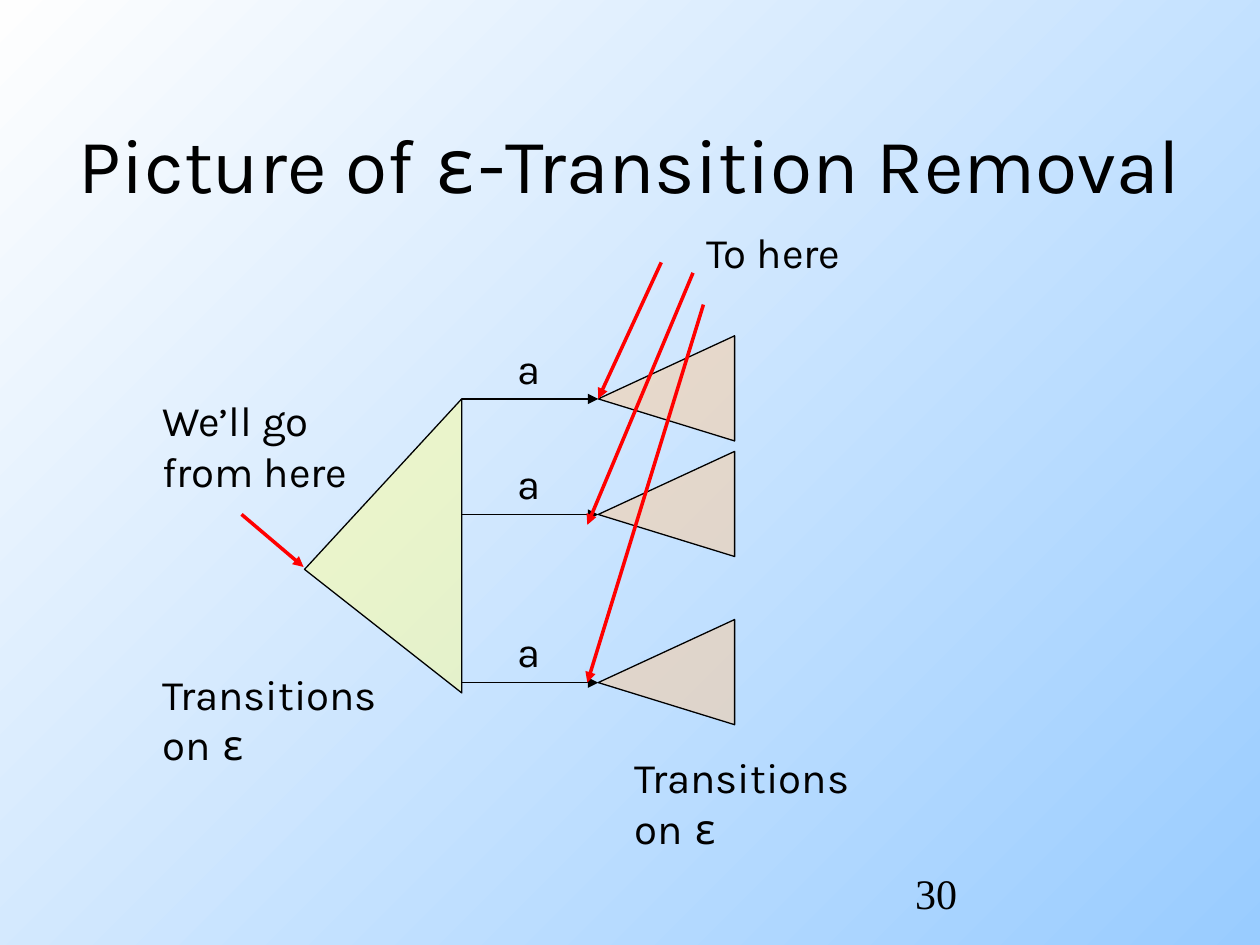
from lxml import etree
from pptx import Presentation
from pptx.dml.color import RGBColor
from pptx.enum.shapes import MSO_CONNECTOR
from pptx.enum.text import MSO_ANCHOR, MSO_AUTO_SIZE, PP_ALIGN
from pptx.oxml.ns import qn
from pptx.util import Cm, Pt

BLACK = RGBColor(0x00, 0x00, 0x00)
RED = RGBColor(0xFF, 0x00, 0x00)
YELLOW = RGBColor(0xFF, 0xFF, 0x99)
PEACH = RGBColor(0xFF, 0xCC, 0x99)
SKY = RGBColor(0x99, 0xCC, 0xFF)
WHITE = RGBColor(0xFE, 0xFE, 0xFE)

BODY_FONT = "Karla"
GREEK_FONT = "Noto Sans Mono"
NUMBER_FONT = "Times New Roman"
MARGINS = {"margin_left": Cm(0.25), "margin_right": Cm(0.25),
           "margin_top": Cm(0.13), "margin_bottom": Cm(0.13)}
TITLE_FRAME = {**MARGINS, "word_wrap": True, "auto_size": MSO_AUTO_SIZE.NONE,
               "vertical_anchor": MSO_ANCHOR.MIDDLE}
LABEL_FRAME = {**MARGINS, "word_wrap": False,
               "auto_size": MSO_AUTO_SIZE.SHAPE_TO_FIT_TEXT}
NUMBER_FRAME = {**MARGINS, "word_wrap": True}


def set_attributes(target, values):
    """Set every attribute named in a dict of format values."""
    for name, value in values.items():
        setattr(target, name, value)


def write_text(frame, lines, size, frame_format, alignment=PP_ALIGN.LEFT, font_name=BODY_FONT):
    """Write one paragraph per line, with the Greek letter in its own font."""
    set_attributes(frame, frame_format)
    for index, line in enumerate(lines):
        paragraph = frame.add_paragraph() if index else frame.paragraphs[0]
        paragraph.alignment = alignment
        before, greek, after = line.partition("ε")
        for text, name in ((before, font_name), (greek, GREEK_FONT), (after, font_name)):
            if text:
                run = paragraph.add_run()
                run.text = text
                set_attributes(run.font, {"name": name, "size": Pt(size)})
                run.font.color.rgb = BLACK


def add_label(slide, box, lines, frame_format=LABEL_FRAME, font_name=BODY_FONT):
    """Add a 24 point text box."""
    label = slide.shapes.add_textbox(*map(Cm, box))
    write_text(label.text_frame, lines, 24, frame_format, font_name=font_name)


def add_arrow(slide, start, end, color, width):
    """Add a straight line with a triangle at its end."""
    arrow = slide.shapes.add_connector(MSO_CONNECTOR.STRAIGHT, *map(Cm, (*start, *end)))
    arrow.line.color.rgb = color
    arrow.line.width = Pt(width)
    etree.SubElement(arrow.line._get_or_add_ln(), qn("a:tailEnd"), type="triangle")
    etree.SubElement(arrow._element.spPr, qn("a:effectLst"))


def add_cone(slide, box, apex, color):
    """Add a half-transparent triangle whose left tip is at the apex fraction of its height."""
    left, top, width, height = box
    tip = (Cm(left), Cm(top + apex * height))
    corners = [(Cm(left + width), Cm(top)), (Cm(left + width), Cm(top + height))]
    builder = slide.shapes.build_freeform(*tip)
    builder.add_line_segments(corners, close=True)
    cone = builder.convert_to_shape()
    cone.shadow.inherit = False
    cone.fill.solid()
    cone.fill.fore_color.rgb = color
    color_element = cone._element.spPr.find(qn("a:solidFill"))[0]
    etree.SubElement(color_element, qn("a:alpha"), val="50000")
    cone.line.color.rgb = BLACK
    cone.line.width = Pt(0.75)


def add_branch(slide, box):
    """Add a transition on a that leads to a cone of ε-transitions."""
    left, top, width, height = box
    middle, axis = left + width / 2, top + 0.6 * height
    add_arrow(slide, (left, axis), (middle, axis), BLACK, 0.75)
    add_label(slide, (left + 0.87, top, 0.97, 1.27), ["a"])
    add_cone(slide, (middle, top, width / 2, height), 0.6, PEACH)


def add_title(slide, box):
    """Place and format the title placeholder."""
    title = slide.shapes.title
    set_attributes(title, dict(zip(("left", "top", "width", "height"), map(Cm, box))))
    write_text(title.text_frame, ["Picture of ε-Transition Removal"], 44,
               TITLE_FRAME, PP_ALIGN.CENTER)


def add_diagram(slide, box):
    """Add the cones, their transitions and the red pointers."""
    left, top, width, height = box
    add_cone(slide, (left, top + 1.27, 3.17, 5.93), 0.58, YELLOW)
    for offset in (0, 2.33, 5.72):
        add_branch(slide, (left + 3.17, top + offset, width - 3.17, 2.12))

    epsilon_lines = ["Transitions", "on ε"]
    for x, y, label_width, label_height, lines in (
        (-3.12, 6.57, 4.9, 2.29, epsilon_lines),
        (6.4, height + 0.42, 4.9, 2.29, epsilon_lines),
        (-3.12, 1.06, 4.5, 2.29, ["We’ll go", "from here"]),
        (7.85, -2.33, 3.53, 1.27, ["To here"]),
    ):
        add_label(slide, (left + x, top + y, label_width, label_height), lines)

    for start, end in (
        ((-1.27, 3.6), (-0.02, 4.66)),
        ((7.19, -1.48), (5.92, 1.27)),
        ((7.83, -1.27), (5.7, 3.81)),
        ((8.04, -0.63), (5.7, 6.99)),
    ):
        add_arrow(slide, (left + start[0], top + start[1]),
                  (left + end[0], top + end[1]), RED, 2)


def paint_background(slide):
    """Fill the slide with a diagonal gradient, white at the top left."""
    fill = slide.background.fill
    fill.gradient()
    fill.gradient_angle = 135
    for stop, color, position in zip(fill.gradient_stops, (SKY, WHITE), (0, 1)):
        stop.color.rgb = color
        stop.position = position


def main():
    """Build the slide and save it."""
    presentation = Presentation()
    set_attributes(presentation, {"slide_width": Cm(25.4), "slide_height": Cm(19.05)})
    slide = presentation.slides.add_slide(presentation.slide_layouts[5])
    paint_background(slide)
    add_title(slide, (0, 1.7, 25.4, 3.17))
    add_diagram(slide, (6.14, 6.77, 8.67, 7.84))
    add_label(slide, (18.2, 17.36, 5.29, 1.27), ["30"], NUMBER_FRAME, NUMBER_FONT)
    presentation.save("out.pptx")


if __name__ == "__main__":
    main()
